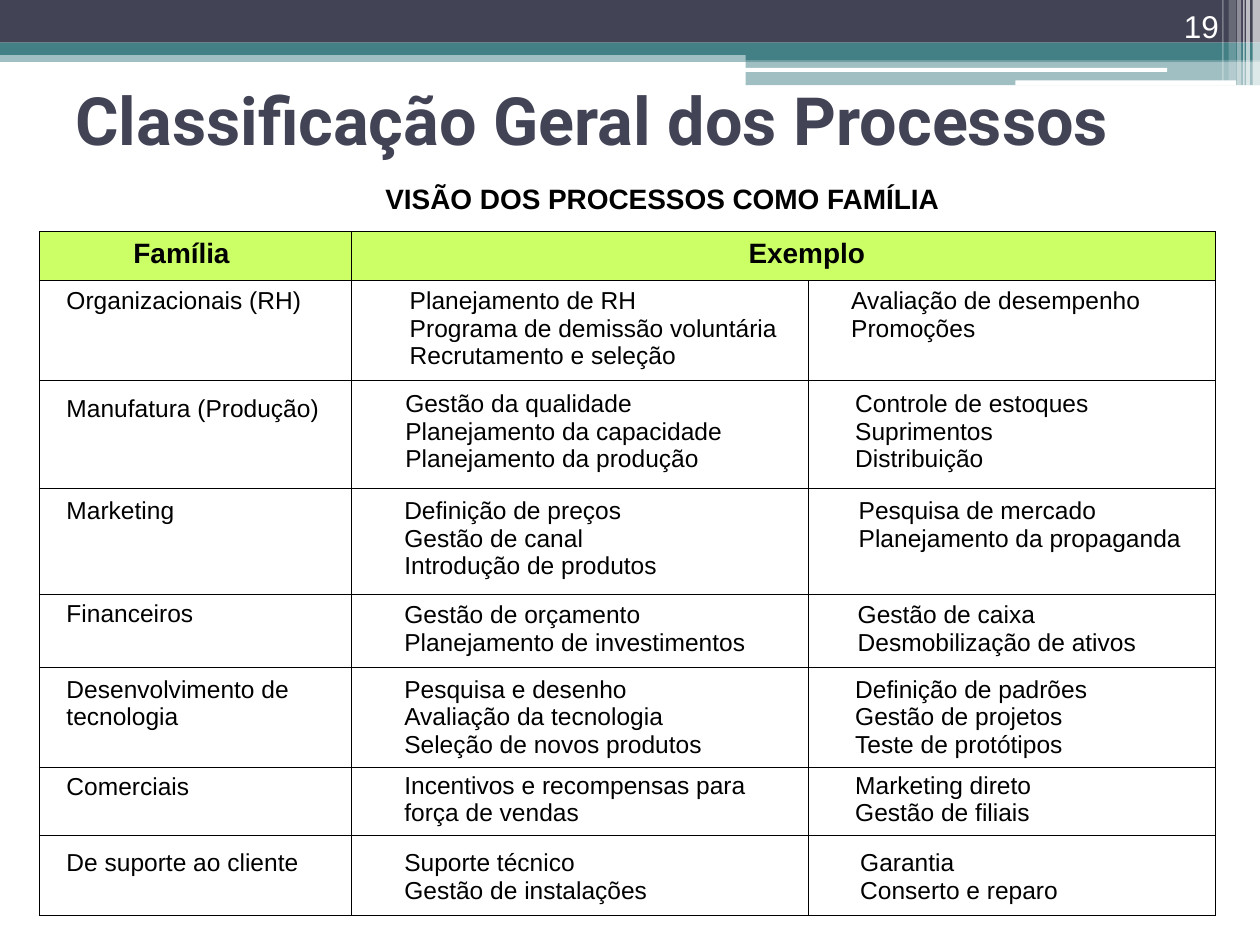
from dataclasses import dataclass
from lxml.etree import SubElement as Sub
from pptx import Presentation as Deck
from pptx.dml.color import RGBColor as Rgb
from pptx.enum.shapes import MSO_SHAPE as Kind
from pptx.enum.text import MSO_ANCHOR as Anchor, PP_ALIGN as Align
from pptx.oxml.ns import qn
from pptx.util import Cm, Pt


@dataclass(frozen=True)
class Theme:
    dark: str = "424456"
    teal: str = "438086"
    lime: str = "CCFF66"
    white: str = "FFFFFF"
    black: str = "000000"
    sans: str = "Arial"
    head: str = "Roboto"
    title: int = 38
    page: int = 18
    sub: int = 16
    body: int = 14
    rule: float = 0.75


T = Theme()

# Left, top, width, height in cm, colour, opacity in percent
BARS = [
    (0, 1.02, 25.4, 0.23, T.teal, 50),
    (0, 0, 25.4, 0.86, T.dark, 100),
    (0, 0.86, 25.4, 0.25, T.teal, 100),
    (15.03, 0.98, 10.37, 0.24, T.teal, 100),
    (15.03, 1.22, 10.37, 0.5, T.teal, 50),
]
PILLS = [
    (15.02, 1.37, 8.51, 0.08, T.white, 100),
    (20.47, 1.62, 4.45, 0.1, T.white, 100),
]
STRIPES = [
    (25.25, 0, 0.15, 1.73, T.white, 65),
    (25.12, 0, 0.08, 1.73, T.white, 65),
    (25.06, 0, 0.03, 1.73, T.white, 60),
    (24.94, 0, 0.08, 1.73, T.white, 40),
    (24.77, 0, 0.15, 1.63, T.white, 20),
    (24.64, 0, 0.03, 1.63, T.white, 30),
]

# Text, left, top, width, height in cm, font, size, colour, bold, align, anchor
LABELS = [
    ("Classificação Geral dos Processos", 1.27, 1.27, 22.86, 2.26,
     T.head, T.title, T.dark, True, Align.LEFT, Anchor.MIDDLE),
    ("VISÃO DOS PROCESSOS COMO FAMÍLIA", 7.52, 3.53, 12, 0.94,
     T.sans, T.sub, T.black, True, Align.LEFT, Anchor.TOP),
    ("19", 22.71, 0, 2.11, 1.02,
     T.sans, T.page, T.white, False, Align.RIGHT, Anchor.BOTTOM),
]

LEFT, TOP = 0.79, 4.67
COLS = [6.3, 9.21, 8.2]
HEAD = 0.99
GAP = 0.25  # cell margin at the right
# Row height, then for each cell: text, left margin, top margin
ROWS = [
    (2.01, [
        ("Organizacionais (RH)", 0.55, 0.13),
        ("Planejamento de RH\nPrograma de demissão voluntária\n"
         "Recrutamento e seleção", 1.17, 0.13),
        ("Avaliação de desempenho\nPromoções", 0.86, 0.13)]),
    (2.18, [
        ("Manufatura (Produção)", 0.55, 0.3),
        ("Gestão da qualidade\nPlanejamento da capacidade\n"
         "Planejamento da produção", 1.08, 0.2),
        ("Controle de estoques\nSuprimentos\nDistribuição", 0.94, 0.2)]),
    (2.13, [
        ("Marketing", 0.55, 0.18),
        ("Definição de preços\nGestão de canal\nIntrodução de produtos",
         1.06, 0.18),
        ("Pesquisa de mercado\nPlanejamento da propaganda", 1.01, 0.18)]),
    (1.47, [
        ("Financeiros", 0.55, 0.13),
        ("Gestão de orçamento\nPlanejamento de investimentos", 1.06, 0.15),
        ("Gestão de caixa\nDesmobilização de ativos", 0.99, 0.15)]),
    (2.03, [
        ("Desenvolvimento de tecnologia", 0.55, 0.18),
        ("Pesquisa e desenho\nAvaliação da tecnologia\n"
         "Seleção de novos produtos", 1.06, 0.18),
        ("Definição de padrões\nGestão de projetos\nTeste de protótipos",
         0.94, 0.18)]),
    (1.37, [
        ("Comerciais", 0.55, 0.1),
        ("Incentivos e recompensas para força de vendas", 1.06, 0.08),
        ("Marketing direto\nGestão de filiais", 0.94, 0.08)]),
    (1.6, [
        ("De suporte ao cliente", 0.55, 0.28),
        ("Suporte técnico\nGestão de instalações", 1.06, 0.28),
        ("Garantia\nConserto e reparo", 1.04, 0.28)]),
]


def style(frame, font, size, color, bold, align):
    for para in frame.paragraphs:
        para.alignment = align
        for run in para.runs:
            run.font.name = font
            run.font.size = Pt(size)
            run.font.bold = bold
            run.font.color.rgb = Rgb.from_string(color)


def bar(slide, kind, x, y, w, h, color, alpha):
    shape = slide.shapes.add_shape(kind, Cm(x), Cm(y), Cm(w), Cm(h))
    shape.shadow.inherit = False
    shape.line.fill.background()
    shape.fill.solid()
    shape.fill.fore_color.rgb = Rgb.from_string(color)
    if alpha < 100:
        tone = shape.fill._xPr.find(".//" + qn("a:srgbClr"))
        Sub(tone, qn("a:alpha"), val=str(alpha * 1000))


def label(slide, text, x, y, w, h, font, size, color, bold, align, anchor):
    frame = slide.shapes.add_textbox(Cm(x), Cm(y), Cm(w), Cm(h)).text_frame
    frame.word_wrap = True
    frame.vertical_anchor = anchor
    frame.text = text
    style(frame, font, size, color, bold, align)


def frame_cell(cell):
    """Draw the four borders; they must come before the fill."""
    props = cell._tc.get_or_add_tcPr()
    for side in ("lnL", "lnR", "lnT", "lnB"):
        line = Sub(props, qn("a:" + side), w=str(Pt(T.rule)))
        Sub(Sub(line, qn("a:solidFill")), qn("a:srgbClr"), val=T.black)


def fill_cell(cell, text, left, top, right, size, bold, align):
    cell.text = text
    cell.margin_left, cell.margin_right = Cm(left), Cm(right)
    cell.margin_top, cell.margin_bottom = Cm(top), 0
    style(cell.text_frame, T.sans, size, T.black, bold, align)


def grid(slide):
    highs = [HEAD] + [high for high, _ in ROWS]
    table = slide.shapes.add_table(
        len(highs), len(COLS), Cm(LEFT), Cm(TOP),
        Cm(sum(COLS)), Cm(sum(highs))).table
    table.first_row = table.horz_banding = False
    for col, wide in zip(table.columns, COLS):
        col.width = Cm(wide)
    for row, high in zip(table.rows, highs):
        row.height = Cm(high)
    for cell in table.iter_cells():
        frame_cell(cell)
        cell.fill.background()
    for cell in table.rows[0].cells:
        cell.fill.solid()
        cell.fill.fore_color.rgb = Rgb.from_string(T.lime)
    table.cell(0, 1).merge(table.cell(0, 2))
    fill_cell(table.cell(0, 0), "Família", 0, 0.13, 0.56,
              T.sub, True, Align.CENTER)
    fill_cell(table.cell(0, 1), "Exemplo", 0.94, 0.13, 0,
              T.sub, True, Align.CENTER)
    for r, (_, cells) in enumerate(ROWS, 1):
        for c, (text, left, top) in enumerate(cells):
            fill_cell(table.cell(r, c), text, left, top, GAP,
                      T.body, False, Align.LEFT)


def main():
    deck = Deck()
    deck.slide_width, deck.slide_height = Cm(25.4), Cm(19.05)
    slide = deck.slides.add_slide(deck.slide_layouts[6])
    for kind, group in ((Kind.RECTANGLE, BARS),
                        (Kind.ROUNDED_RECTANGLE, PILLS),
                        (Kind.RECTANGLE, STRIPES)):
        for item in group:
            bar(slide, kind, *item)
    for item in LABELS:
        label(slide, *item)
    grid(slide)
    deck.save("out.pptx")


if __name__ == "__main__":
    main()
